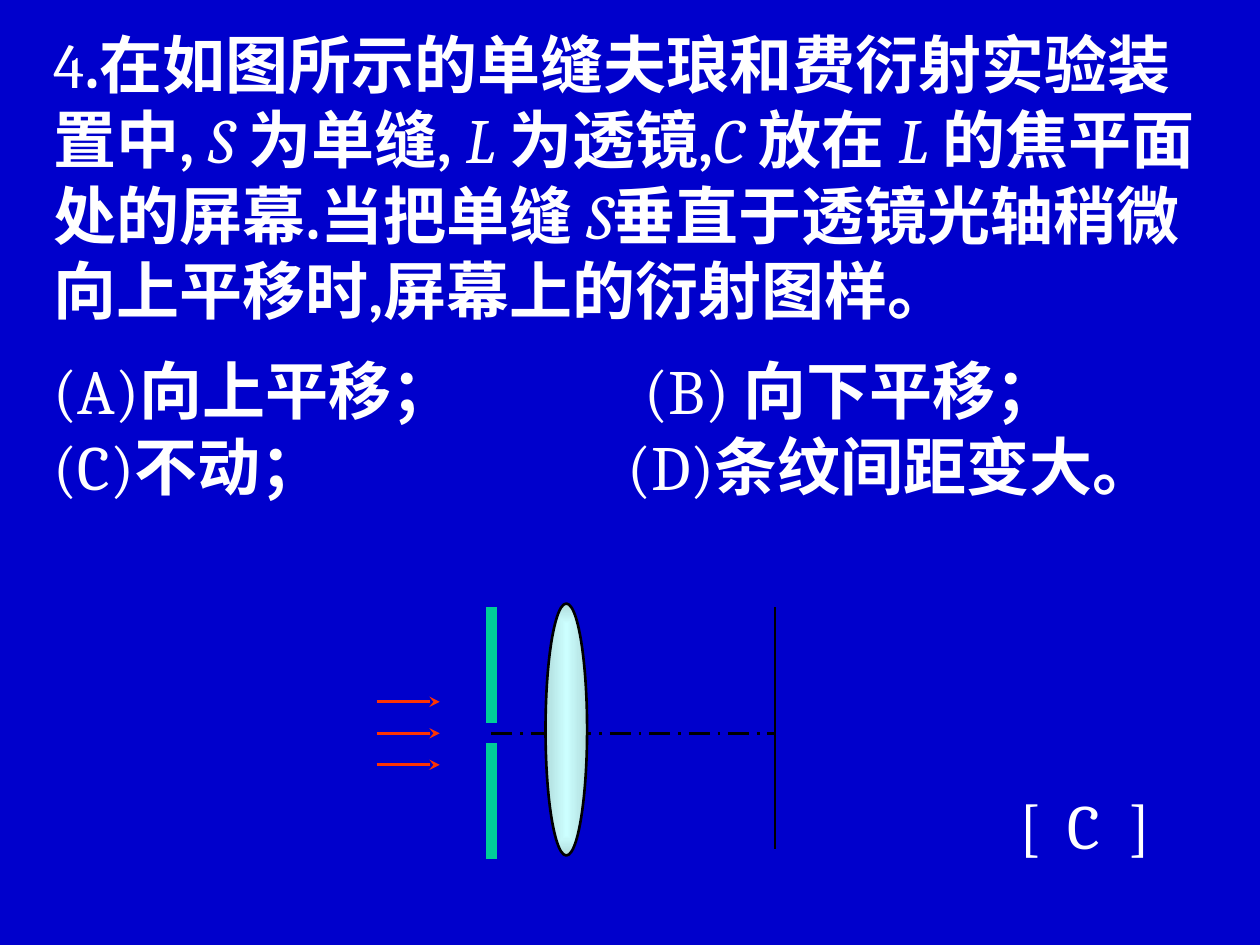
from lxml.etree import SubElement
from pptx import Presentation
from pptx.dml.color import RGBColor
from pptx.enum.dml import MSO_LINE as Dash
from pptx.enum.shapes import MSO_CONNECTOR as Conn, MSO_SHAPE as Shape
from pptx.oxml.ns import qn
from pptx.util import Inches, Pt

WHITE, BLACK, BLUE = "FFFFFF", "000000", "0000CC"
GREEN, RED = "00CC99", "FF3300"
PALE, EDGE = "CCFFFF", "B0DCDC"


def color(code):
    return RGBColor.from_string(code)


def add_run(para, text, font="Cambria", size=36, fill=WHITE, bold=False, italic=False):
    run = para.add_run()
    run.text = text
    run.font.name, run.font.size = font, Pt(size)
    run.font.bold, run.font.italic = bold, italic
    run.font.color.rgb = color(fill)


def set_tabs(para, stops):
    tabs = SubElement(para._p.get_or_add_pPr(), qn("a:tabLst"))
    for stop in stops:
        SubElement(tabs, qn("a:tab"), pos=str(Inches(stop)), algn="l")


def add_text(slide, box, lines):
    frame = slide.shapes.add_textbox(*map(Inches, box)).text_frame
    frame.word_wrap = True
    for num, (stops, runs) in enumerate(lines):
        para = frame.add_paragraph() if num else frame.paragraphs[0]
        if stops:
            set_tabs(para, stops)
        for text, style in runs:
            add_run(para, text, bold=style == "b", italic=style == "i")


def add_line(slide, start, end, fill, width=1.5, dash=None, arrow=False):
    line = slide.shapes.add_connector(Conn.STRAIGHT, *map(Inches, start + end))
    line.line.color.rgb = color(fill)
    line.line.width = Pt(width)
    if dash:
        line.line.dash_style = dash
    if arrow:
        SubElement(line.line._get_or_add_ln(), qn("a:tailEnd"), type="stealth")
    SubElement(line._element.spPr, qn("a:effectLst"))


def add_lens(slide, box):
    lens = slide.shapes.add_shape(Shape.OVAL, *map(Inches, box))
    lens.shadow.inherit = False
    lens.line.color.rgb = color(BLACK)
    lens.line.width = Pt(1.5)
    lens.fill.gradient()
    for stop, code in zip(lens.fill.gradient_stops, (PALE, EDGE)):
        stop.color.rgb = color(code)
    grad = lens._element.spPr.find(qn("a:gradFill"))
    grad.remove(grad.find(qn("a:lin")))
    glow = SubElement(grad, qn("a:path"), path="shape")
    SubElement(glow, qn("a:fillToRect"), {side: "50000" for side in "ltrb"})


def add_setup(slide, box):
    left, top, width, height = box
    slit, right = left + 0.91, left + width
    axis = top + 1.03
    for start in (top + 0.03, axis + 0.08):
        add_line(slide, (slit, start), (slit, start + 0.92), GREEN, width=6)
    add_line(slide, (right, top + 0.03), (right, top + height - 0.08), BLACK)
    add_line(slide, (slit, axis), (right, axis), BLACK, dash=Dash.LONG_DASH_DOT)
    for step in (-1, 0, 1):
        ray = axis + step * 0.25
        add_line(slide, (left, ray), (left + 0.5, ray), RED, arrow=True)
    add_lens(slide, (left + 1.34, top, 0.33, 2))


def add_question(slide, box):
    runs = [
        ("4", ""), (".在如图所示的单缝夫琅和费衍射实验装置中, ", "b"),
        ("S ", "i"), ("为单缝, ", "b"),
        ("L ", "i"), ("为透镜,", "b"),
        ("C ", "i"), ("放在 ", "b"),
        ("L ", "i"), ("的焦平面处的屏幕.当把单缝 ", "b"),
        ("S", "i"), ("垂直于透镜光轴稍微向上平移时,屏幕上的衍射图样。", "b"),
    ]
    add_text(slide, box, [([], runs)])


def add_choices(slide, box):
    add_text(slide, box, [
        ([4.69], [("(A)", ""), ("向上平移；\t", "b"), ("(B) ", ""), ("向下平移；", "b")]),
        ([4.55], [("(C)", ""), ("不动；\t", "b"), ("(D)", ""), ("条纹间距变大。", "b")]),
    ])


def add_answer(slide, box):
    add_text(slide, box, [([0.38, 0.87], [("[\tC\t]", "")])])


def main():
    deck = Presentation()
    deck.slide_width, deck.slide_height = Inches(10), Inches(7.5)
    slide = deck.slides.add_slide(deck.slide_layouts[6])
    slide.background.fill.solid()
    slide.background.fill.fore_color.rgb = color(BLUE)
    add_answer(slide, (7.99, 6.19, 1.45, 0.7))
    add_setup(slide, (2.99, 4.79, 3.16, 2.03))
    add_question(slide, (0.33, 0.15, 9.35, 2.5))
    add_choices(slide, (0.33, 2.74, 9.46, 1.31))
    deck.save("out.pptx")


if __name__ == "__main__":
    main()
